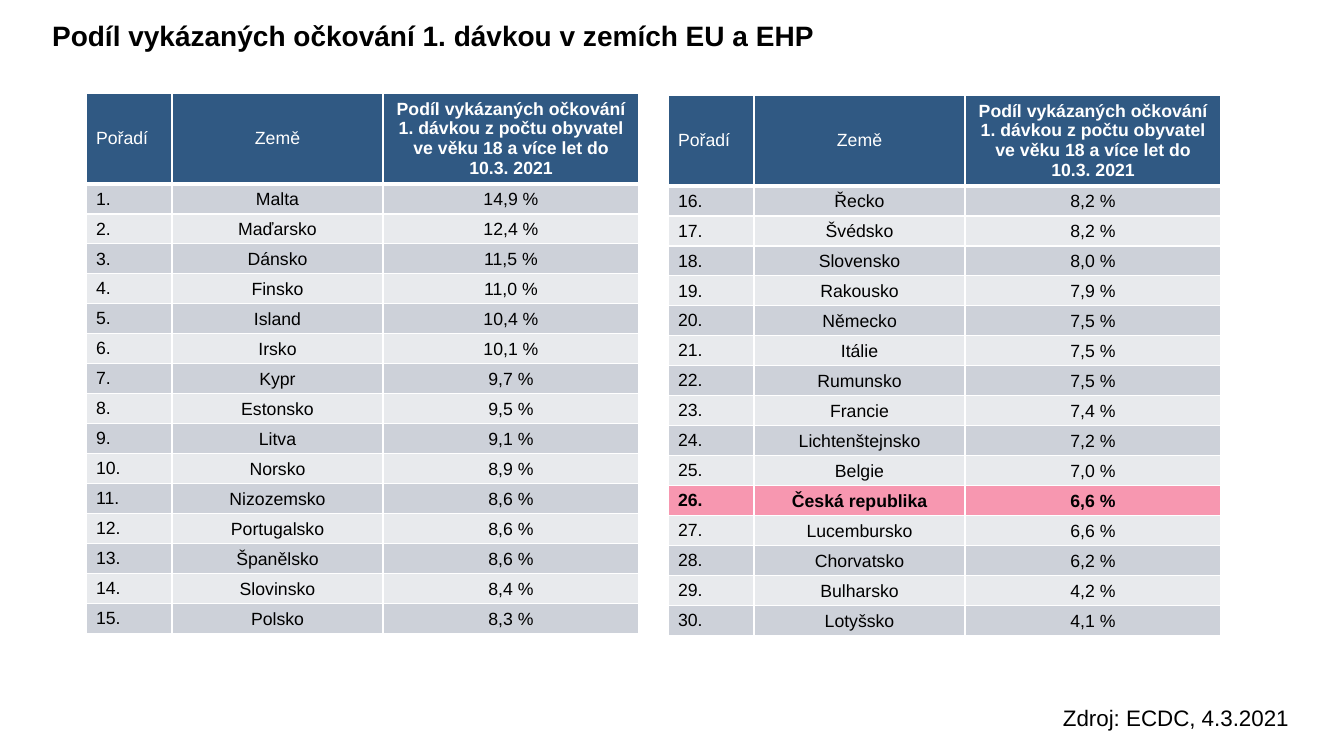
"""Build the slide that ranks EU and EEA countries by first vaccine dose."""
from dataclasses import dataclass

from lxml.etree import SubElement
from pptx import Presentation
from pptx.dml.color import RGBColor
from pptx.enum.text import MSO_ANCHOR, MSO_AUTO_SIZE, PP_ALIGN
from pptx.oxml.ns import qn
from pptx.slide import Slide
from pptx.table import _Cell
from pptx.text.text import TextFrame
from pptx.util import Pt

PX = 914400 / 100.8
BLACK = RGBColor(0x00, 0x00, 0x00)
WHITE = RGBColor(0xFF, 0xFF, 0xFF)
NAVY = RGBColor(0x30, 0x59, 0x83)
GREY = RGBColor(0xCD, 0xD1, 0xD9)
PALE = RGBColor(0xE8, 0xEA, 0xED)
PINK = RGBColor(0xF7, 0x97, 0xB0)

TITLE = "Podíl vykázaných očkování 1. dávkou v zemích EU a EHP"
SOURCE = "Zdroj: ECDC, 4.3.2021"
HEAD = (
    "Pořadí",
    "Země",
    "Podíl vykázaných očkování 1. dávkou z počtu obyvatel "
    "ve věku 18 a více let do 10.3. 2021",
)
HOME = "Česká republika"
COLS = (86, 211, 256)
HEAD_H, ROW_H = 91, 30
TIGHT = {"margin_left": px_in, "margin_right": px_in, "margin_top": px_in,
         "margin_bottom": 0} if (px_in := round(PX)) else {}


@dataclass
class Panel:
    """One ranked table: its corner, first rank and (country, share) rows."""
    left: int
    top: int
    first: int
    rows: tuple[tuple[str, str], ...]


PANELS = (
    Panel(86, 93, 1, (
        ("Malta", "14,9"), ("Maďarsko", "12,4"), ("Dánsko", "11,5"),
        ("Finsko", "11,0"), ("Island", "10,4"), ("Irsko", "10,1"),
        ("Kypr", "9,7"), ("Estonsko", "9,5"), ("Litva", "9,1"),
        ("Norsko", "8,9"), ("Nizozemsko", "8,6"), ("Portugalsko", "8,6"),
        ("Španělsko", "8,6"), ("Slovinsko", "8,4"), ("Polsko", "8,3"),
    )),
    Panel(668, 95, 16, (
        ("Řecko", "8,2"), ("Švédsko", "8,2"), ("Slovensko", "8,0"),
        ("Rakousko", "7,9"), ("Německo", "7,5"), ("Itálie", "7,5"),
        ("Rumunsko", "7,5"), ("Francie", "7,4"), ("Lichtenštejnsko", "7,2"),
        ("Belgie", "7,0"), (HOME, "6,6"), ("Lucembursko", "6,6"),
        ("Chorvatsko", "6,2"), ("Bulharsko", "4,2"), ("Lotyšsko", "4,1"),
    )),
)


def px(size: int) -> int:
    """Turn px into EMU."""
    return round(size * PX)


def apply(target: object, values: dict) -> None:
    """Set each format value on the target."""
    for name, value in values.items():
        setattr(target, name, value)


def write(frame: TextFrame, text: str, size: float, color: RGBColor,
          bold: bool = False, align: PP_ALIGN = PP_ALIGN.LEFT) -> None:
    """Fill a text frame with one formatted paragraph."""
    frame.text = text
    line = frame.paragraphs[0]
    line.alignment = align
    font = line.runs[0].font
    apply(font, {"name": "Arial", "size": Pt(size), "bold": bold})
    font.color.rgb = color


def edge(cell: _Cell, base: int) -> None:
    """Give a cell white borders, with the bottom one of its own width."""
    props = cell._tc.get_or_add_tcPr()
    for side, width in (("L", 1), ("R", 1), ("T", 1), ("B", base)):
        line = SubElement(props, qn(f"a:ln{side}"), w=str(Pt(width)))
        fill = SubElement(line, qn("a:solidFill"))
        SubElement(fill, qn("a:srgbClr"), val=str(WHITE))


def draw(slide: Slide, panel: Panel) -> None:
    """Draw one ranked table."""
    body = [(f"{rank}.", land, f"{share} %")
            for rank, (land, share) in enumerate(panel.rows, panel.first)]
    grid = [HEAD, *body]
    height = HEAD_H + ROW_H * len(body)
    table = slide.shapes.add_table(
        len(grid), len(COLS), px(panel.left), px(panel.top),
        px(sum(COLS)), px(height)).table
    for col, width in zip(table.columns, COLS):
        col.width = px(width)
    for r, texts in enumerate(grid):
        head, home = r == 0, texts[1] == HOME
        table.rows[r].height = px(HEAD_H if head else ROW_H)
        fill = NAVY if head else PINK if home else GREY if r % 2 else PALE
        for c, text in enumerate(texts):
            cell = table.cell(r, c)
            edge(cell, 3 if head else 1)
            cell.fill.solid()
            cell.fill.fore_color.rgb = fill
            cell.vertical_anchor = MSO_ANCHOR.MIDDLE
            if c and not head:
                apply(cell, TIGHT)
            write(cell.text_frame, text, 12.6, WHITE if head else BLACK,
                  home or (head and c == 2),
                  PP_ALIGN.CENTER if c else PP_ALIGN.LEFT)


def main() -> None:
    """Build and save the slide."""
    deck = Presentation()
    apply(deck, {"slide_width": px(1344), "slide_height": px(756)})
    slide = deck.slides.add_slide(deck.slide_layouts[5])

    title = slide.shapes.title
    apply(title, {"left": px(42), "top": 0, "width": px(823), "height": px(74)})
    apply(title.text_frame, {"word_wrap": True, "auto_size": MSO_AUTO_SIZE.NONE,
                             "vertical_anchor": MSO_ANCHOR.MIDDLE})
    write(title.text_frame, TITLE, 20, BLACK, True)
    title.text_frame.paragraphs[0].line_spacing = 0.9

    for panel in PANELS:
        draw(slide, panel)

    note = slide.shapes.add_textbox(px(1053), px(699), px(291), px(37))
    note.text_frame.word_wrap = True
    write(note.text_frame, SOURCE, 16, BLACK)
    deck.save("out.pptx")


if __name__ == "__main__":
    main()
